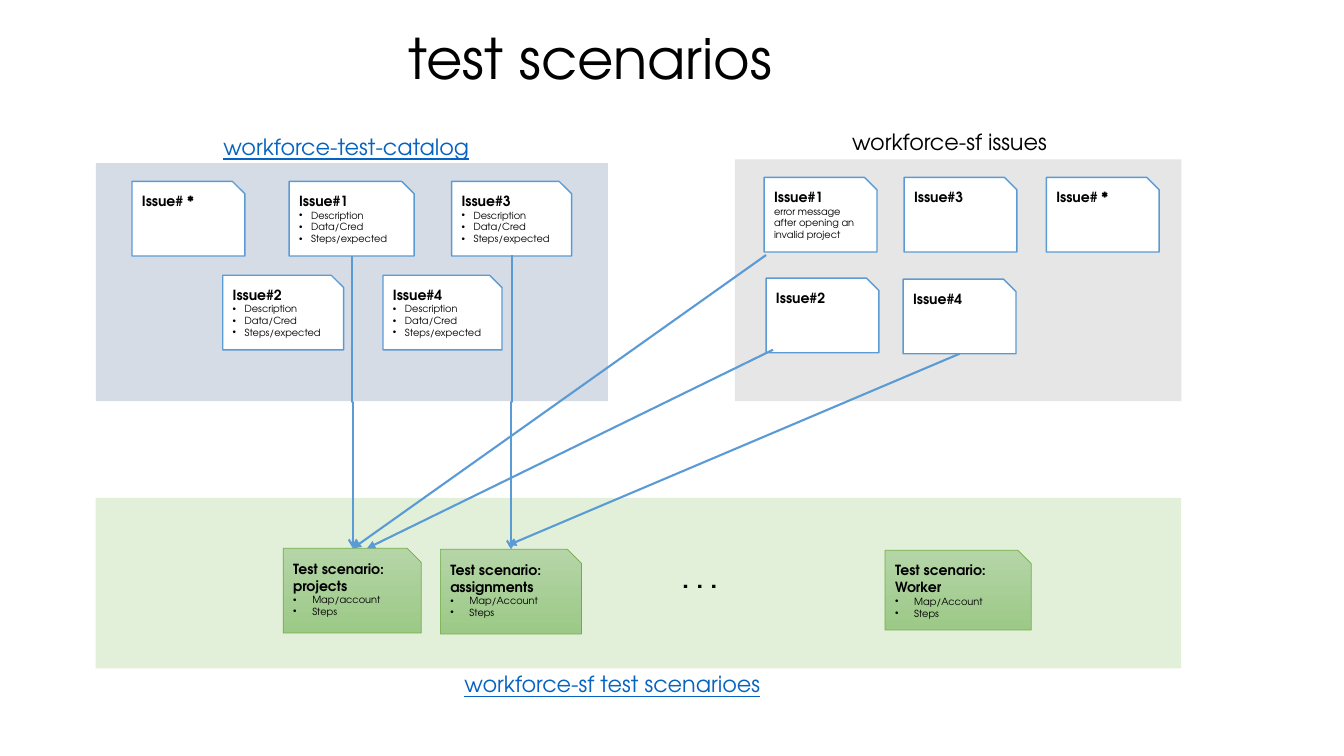
"""Builds the test scenarios slide, linking catalog and project issues to scenarios."""
import dataclasses
import typing

import lxml.etree
import pptx
import pptx.dml.color
import pptx.enum.shapes
import pptx.enum.text
import pptx.oxml.ns
import pptx.util

Pt = pptx.util.Pt
qn = pptx.oxml.ns.qn
PP = pptx.enum.text.PP_ALIGN
ANCHOR = pptx.enum.text.MSO_ANCHOR
AUTO = pptx.enum.text.MSO_AUTO_SIZE
SHAPE = pptx.enum.shapes.MSO_SHAPE
LINK = pptx.enum.shapes.MSO_CONNECTOR

FONT = "TeX Gyre Adventor"
COLORS = {
    "text": "000000", "link": "0563C1", "card": "FFFFFF", "blue": "5B9BD5",
    "green": "70AD47", "green_top": "B5D5A7", "green_bottom": "9CC987",
    "scenarios": "E2F0D9", "catalog": "D6DCE5", "issues": "E7E6E6",
}
CARD_H = 53.3
SF_W = 80.6
ISSUE_STEPS = ("Description", "Data/Cred", "Steps/expected")


@dataclasses.dataclass
class Panel:
    x: float
    y: float
    w: float
    h: float
    color: str


@dataclasses.dataclass
class Label:
    x: float
    y: float
    w: float
    h: float
    text: str
    font: dict
    align: typing.Any = PP.CENTER


@dataclasses.dataclass
class Card:
    x: float
    y: float
    w: float
    heads: tuple
    bullets: tuple = ()
    note: str = ""
    h: float = CARD_H
    indent: float = 8.6
    green: bool = False


@dataclasses.dataclass
class Arrow:
    x1: float
    y1: float
    x2: float
    y2: float
    bent: bool = False


HEADING = {"size": Pt(16)}
LINKED = {"size": Pt(16), "underline": True}
GREEN = {"indent": 13.7, "green": True}

PANELS = [
    Panel(68.4, 355.7, 775.4, 121.7, "scenarios"),
    Panel(68.4, 116.6, 365.8, 169.9, "catalog"),
    Panel(524.9, 113.8, 319, 172.8, "issues"),
]
LABELS = [
    Label(149.8, 91.4, 195.1, 26.6, "workforce-test-catalog", LINKED),
    Label(597.6, 87.8, 161.3, 26.6, "workforce-sf issues", HEADING),
    Label(322.6, 475.2, 229.7, 26.6, "workforce-sf test scenarioes", LINKED),
    Label(480.2, 398.9, 44.6, 28.8, ". . .", {"size": Pt(18), "bold": True}, PP.LEFT),
]
CARDS = [
    Card(202.3, 391.7, 98.6, ("Test scenario:", "projects"), ("Map/account", "Steps"), h=60.5, **GREEN),
    Card(314.6, 392.4, 100.8, ("Test scenario:", "assignments"), ("Map/Account", "Steps"), h=60.5, **GREEN),
    Card(632.2, 393.1, 104.4, ("Test scenario:", "Worker"), ("Map/Account", "Steps"), h=56.9, **GREEN),
    Card(94.3, 129.6, 80.6, ("Issue# *",)),
    Card(206.6, 129.6, 89.3, ("Issue#1",), ISSUE_STEPS),
    Card(159.1, 196.6, 86.4, ("Issue#2",), ISSUE_STEPS),
    Card(322.6, 129.6, 85.7, ("Issue#3",), ISSUE_STEPS),
    Card(273.6, 196.6, 85, ("Issue#4",), ISSUE_STEPS),
    Card(545.8, 126.7, SF_W, ("Issue#1",), note="error message after opening an invalid project"),
    Card(547.2, 198.7, SF_W, ("Issue#2",)),
    Card(645.8, 126.7, SF_W, ("Issue#3",)),
    Card(645.1, 199.4, SF_W, ("Issue#4",)),
    Card(747.4, 126.7, SF_W, ("Issue# *",)),
]
ARROWS = [
    Arrow(251.3, 182.9, 252, 391.7, bent=True),
    Arrow(365.8, 182.2, 365, 392.4, bent=True),
    Arrow(547.2, 182.2, 252, 391.7),
    Arrow(552.2, 249.8, 262.1, 391.7),
    Arrow(685.4, 252.7, 362.9, 389.5),
]


def rgb(name: str) -> pptx.dml.color.RGBColor:
    """Look up a named colour."""
    return pptx.dml.color.RGBColor.from_string(COLORS[name])


def apply(target: typing.Any, values: dict) -> None:
    """Set each attribute in values on the target."""
    for name, value in values.items():
        setattr(target, name, value)


def write(p: typing.Any, text: str, font: dict, align: typing.Any = PP.LEFT) -> None:
    """Fill a paragraph with one formatted run."""
    p.alignment = align
    r = p.add_run()
    r.text = text
    apply(r.font, {"name": FONT, **font})
    r.font.color.rgb = rgb("link" if font.get("underline") else "text")


def add_bullet(p: typing.Any, indent: float) -> None:
    """Give a paragraph a hanging bullet."""
    pPr = p._p.get_or_add_pPr()
    pPr.set("marL", str(int(Pt(indent))))
    pPr.set("indent", str(-int(Pt(indent))))
    lxml.etree.SubElement(pPr, qn("a:buFont"), typeface="Arial")
    lxml.etree.SubElement(pPr, qn("a:buChar"), char="•")


def draw_panel(s: typing.Any, panel: Panel) -> None:
    """Draw a background panel."""
    sp = s.shapes.add_shape(SHAPE.RECTANGLE, Pt(panel.x), Pt(panel.y), Pt(panel.w), Pt(panel.h))
    sp.shadow.inherit = False
    sp.fill.solid()
    sp.fill.fore_color.rgb = rgb(panel.color)
    sp.line.fill.background()


def draw_label(s: typing.Any, label: Label) -> None:
    """Draw a single-line text label."""
    tf = s.shapes.add_textbox(Pt(label.x), Pt(label.y), Pt(label.w), Pt(label.h)).text_frame
    apply(tf, {"word_wrap": False, "auto_size": AUTO.SHAPE_TO_FIT_TEXT})
    write(tf.paragraphs[0], label.text, label.font, label.align)


def draw_card(s: typing.Any, card: Card) -> None:
    """Draw a snipped card with its heading, note and bullets."""
    sp = s.shapes.add_shape(SHAPE.SNIP_1_RECTANGLE, Pt(card.x), Pt(card.y), Pt(card.w), Pt(card.h))
    sp.shadow.inherit = False
    if card.green:
        sp.fill.gradient()
        sp.fill.gradient_angle = 270
        for stop, name in zip(sp.fill.gradient_stops, ("green_top", "green_bottom")):
            stop.color.rgb = rgb(name)
    else:
        sp.fill.solid()
        sp.fill.fore_color.rgb = rgb("card")
    sp.line.color.rgb = rgb("green" if card.green else "blue")
    sp.line.width = Pt(0.5 if card.green else 1)
    tf = sp.text_frame
    apply(tf, {"word_wrap": True, "vertical_anchor": ANCHOR.TOP})
    notes = (card.note,) if card.note else ()
    for i, text in enumerate(card.heads + notes + card.bullets):
        p = tf.add_paragraph() if i else tf.paragraphs[0]
        head = i < len(card.heads)
        write(p, text, {"size": Pt(10 if head else 7), "bold": head})
        if i >= len(card.heads + notes):
            add_bullet(p, card.indent)


def draw_arrow(s: typing.Any, a: Arrow) -> None:
    """Draw a straight arrow, or an elbow turned to run downwards."""
    if a.bent:
        mx, my, half = (a.x1 + a.x2) / 2, (a.y1 + a.y2) / 2, (a.y2 - a.y1) / 2
        ends = (mx - half, my + mx - a.x1, mx + half, my + mx - a.x2)
    else:
        ends = (a.x1, a.y1, a.x2, a.y2)
    c = s.shapes.add_connector(LINK.ELBOW if a.bent else LINK.STRAIGHT, *map(Pt, ends))
    c.line.color.rgb = rgb("blue")
    c.line.width = Pt(1.5)
    spPr = c._element.spPr
    if a.bent:
        spPr.find(qn("a:xfrm")).set("rot", str(90 * 60000))
    lxml.etree.SubElement(spPr.find(qn("a:ln")), qn("a:tailEnd"), type="arrow" if a.bent else "triangle")
    lxml.etree.SubElement(spPr, qn("a:effectLst"))


def main() -> None:
    """Build and save the slide."""
    prs = pptx.Presentation()
    apply(prs, {"slide_width": Pt(960), "slide_height": Pt(540)})
    s = prs.slides.add_slide(prs.slide_layouts[5])
    title = s.shapes.title
    apply(title, {"left": Pt(7.9), "top": Pt(12.2), "width": Pt(828), "height": Pt(56.9)})
    tf = title.text_frame
    apply(tf, {"vertical_anchor": ANCHOR.BOTTOM, "auto_size": AUTO.NONE, "word_wrap": True})
    tf.paragraphs[0].line_spacing = 0.9
    write(tf.paragraphs[0], "test scenarios", {"size": Pt(40)}, PP.CENTER)
    for draw, items in ((draw_panel, PANELS), (draw_label, LABELS), (draw_card, CARDS), (draw_arrow, ARROWS)):
        for item in items:
            draw(s, item)
    prs.save("out.pptx")


if __name__ == "__main__":
    main()
